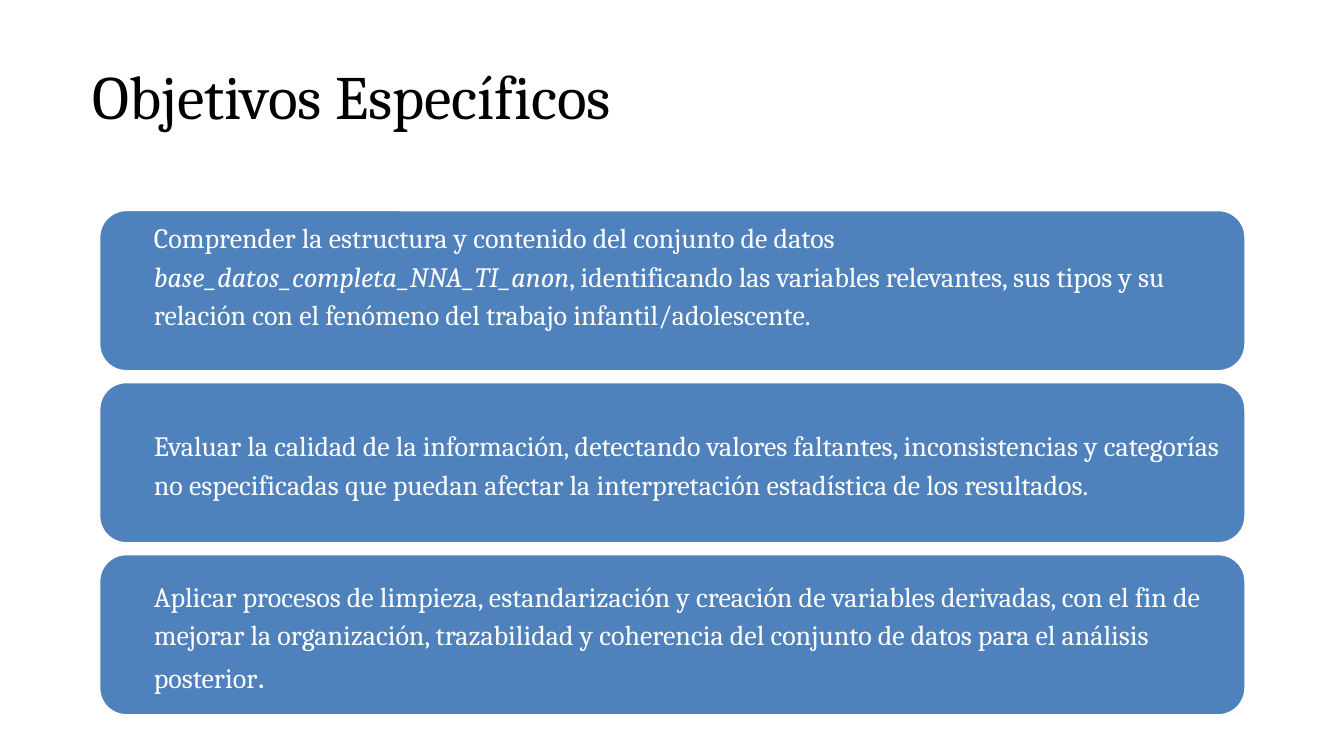
from pptx import Presentation
from pptx.dml.color import RGBColor
from pptx.enum import shapes, text
from pptx.util import Inches, Pt

COLORS = {"ink": "000000", "card": "4F81BD", "white": "FFFFFF"}
FONT = "Cambria"
TITLE = "Objetivos Específicos"

# Each goal: text top, text height, runs (words, size, font, italic)
GOALS = [
    (2.74, 2.66, [
        ("Comprender la estructura y contenido del conjunto de datos ", 30, FONT, False),
        ("base_datos_completa_NNA_TI_anon", 30, FONT, True),
        (", identificando las variables relevantes, sus tipos y su relación con el "
         "fenómeno del trabajo infantil/adolescente.", 30, FONT, False),
    ]),
    (5.8, 2.15, [
        ("Evaluar la calidad de la información, detectando valores faltantes, "
         "inconsistencias y categorías no especificadas que puedan afectar la "
         "interpretación estadística de los resultados.", 30, FONT, False),
    ]),
    (8.37, 2.15, [
        ("Aplicar procesos de limpieza, estandarización y creación de variables "
         "derivadas, con el fin de mejorar la organización, trazabilidad y coherencia "
         "del conjunto de datos para el análisis posterior", 30, FONT, False),
        (".", 34, "Calibri", False),
    ]),
]
LEFT, TOP, WIDTH, HEIGHT, STEP = 1.48, 3.13, 17.05, 2.39, 2.56


def color(name):
    return RGBColor.from_string(COLORS[name])


def set_frame(frame, inset):
    frame.word_wrap = True
    frame.auto_size = text.MSO_AUTO_SIZE.NONE
    frame.vertical_anchor = text.MSO_ANCHOR.MIDDLE
    frame.margin_left = frame.margin_right = Inches(inset)
    frame.margin_top = frame.margin_bottom = Inches(inset)


def add_run(para, words, size, face, tint, italic=False):
    run = para.add_run()
    run.text = words
    run.font.size = Pt(size)
    run.font.name = face
    run.font.italic = italic
    run.font.color.rgb = color(tint)


def add_card(slide, top):
    card = slide.shapes.add_shape(
        shapes.MSO_SHAPE.ROUNDED_RECTANGLE,
        Inches(LEFT), Inches(top), Inches(WIDTH), Inches(HEIGHT))
    card.shadow.inherit = False
    card.adjustments[0] = 0.167
    card.fill.solid()
    card.fill.fore_color.rgb = color("card")
    card.line.color.rgb = color("white")
    card.line.width = Pt(2)


def add_goal(slide, top, height, runs):
    box = slide.shapes.add_textbox(
        Inches(LEFT + 0.1), Inches(top), Inches(16.83), Inches(height))
    set_frame(box.text_frame, 0.21)
    para = box.text_frame.paragraphs[0]
    para.alignment = text.PP_ALIGN.LEFT
    para.line_spacing = 1.15
    para.space_after = Pt(12)
    para._p.get_or_add_pPr().set("marL", str(Inches(0.5)))
    for words, size, face, italic in runs:
        add_run(para, words, size, face, "white", italic)


def main():
    deck = Presentation()
    deck.slide_width, deck.slide_height = Inches(20), Inches(11.25)
    slide = deck.slides.add_slide(deck.slide_layouts[5])

    # Title
    title = slide.shapes.title
    title.left, title.top = Inches(1.38), Inches(0.31)
    title.width, title.height = Inches(17.25), Inches(2.12)
    set_frame(title.text_frame, 0)
    para = title.text_frame.paragraphs[0]
    para.alignment = text.PP_ALIGN.LEFT
    para.line_spacing = 1.08
    add_run(para, TITLE, 66, FONT, "ink")

    # Goal cards
    for row, (top, height, runs) in enumerate(GOALS):
        add_card(slide, TOP + row * STEP)
        add_goal(slide, top, height, runs)

    deck.save("out.pptx")


if __name__ == "__main__":
    main()
